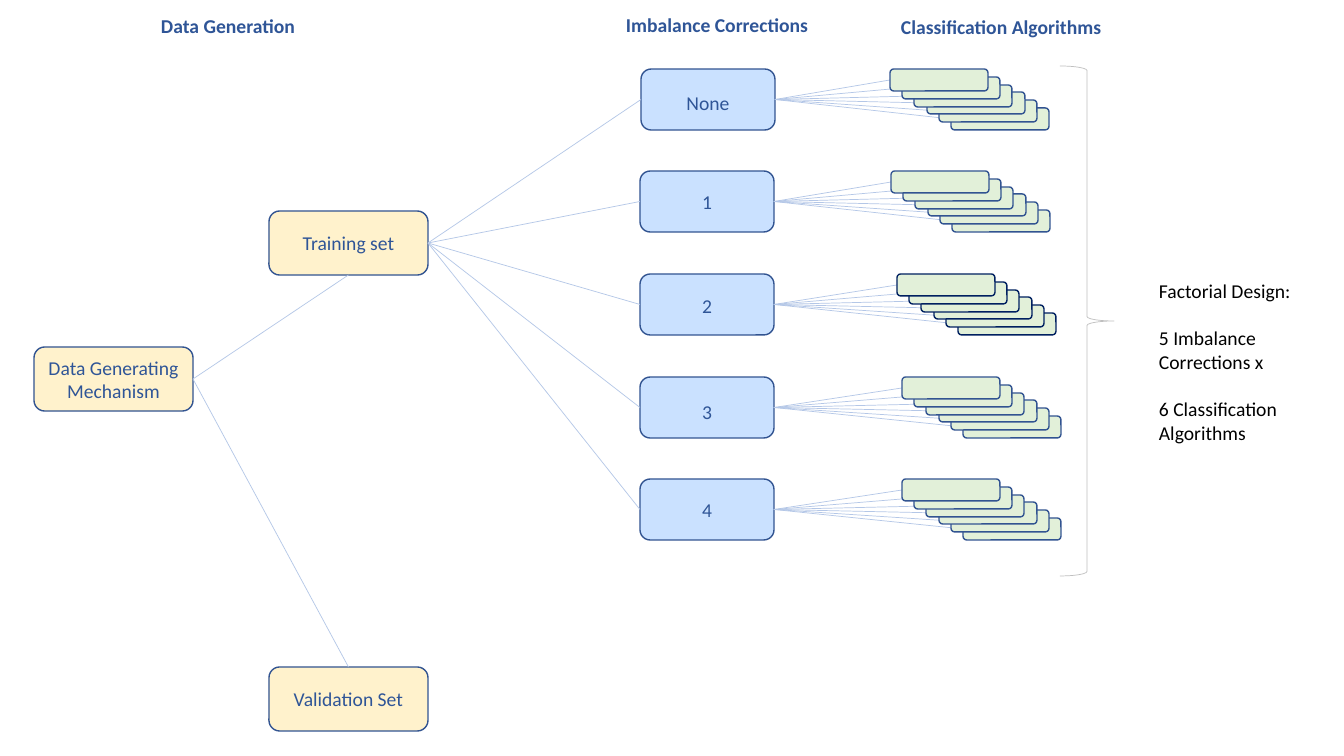
from lxml import etree
from pptx import Presentation
from pptx.dml.color import RGBColor
from pptx.enum.shapes import MSO_CONNECTOR, MSO_SHAPE
from pptx.enum.text import MSO_ANCHOR, PP_ALIGN
from pptx.oxml.ns import qn
from pptx.util import Pt

PX = 914400 / 100.8
STRAIGHT = MSO_CONNECTOR.STRAIGHT
ROUNDED = MSO_SHAPE.ROUNDED_RECTANGLE
BRACE = MSO_SHAPE.RIGHT_BRACE
TOP_SIDE, LEFT_SIDE, BOTTOM_SIDE, RIGHT_SIDE = range(4)

TEXT_BLUE = RGBColor(0x2F, 0x55, 0x97)
OUTLINE = RGBColor(0x32, 0x54, 0x91)
NAVY = RGBColor(0x00, 0x20, 0x60)
LINK_BLUE = RGBColor(0xB4, 0xC7, 0xE7)
GRAY = RGBColor(0xBF, 0xBF, 0xBF)
YELLOW = RGBColor(0xFF, 0xF2, 0xCC)
BLUE = RGBColor(0xCA, 0xE1, 0xFF)
GREEN = RGBColor(0xE2, 0xF0, 0xD9)
BLACK = RGBColor(0x00, 0x00, 0x00)

presentation = Presentation()
presentation.slide_width = round(1344 * PX)
presentation.slide_height = round(756 * PX)
slide = presentation.slides.add_slide(presentation.slide_layouts[6])
shapes = slide.shapes


def add_box(left, top, width, height, fill, outline, label="", drop=0):
    box = shapes.add_shape(ROUNDED, *[round(v * PX) for v in (left, top, width, height)])
    box.shadow.inherit = False
    box.fill.solid()
    box.fill.fore_color.rgb = fill
    box.line.color.rgb = outline
    box.line.width = Pt(1)
    if label:
        frame = box.text_frame
        frame.text = label
        frame.word_wrap = True
        frame.vertical_anchor = MSO_ANCHOR.MIDDLE
        frame.margin_left = frame.margin_right = round(4 * PX)
        frame.margin_top = round((4 + 2 * drop) * PX)
        frame.margin_bottom = round(4 * PX)
        for paragraph in frame.paragraphs:
            paragraph.alignment = PP_ALIGN.CENTER
            font = paragraph.runs[0].font
            font.name, font.size = "Calibri", Pt(14)
            font.color.rgb = TEXT_BLUE
    return box


def add_link():
    link = shapes.add_connector(STRAIGHT, 0, 0, 0, 0)
    link.line.color.rgb = LINK_BLUE
    link.line.width = Pt(0.5)
    etree.SubElement(link._element.spPr, qn("a:effectLst"))
    return link


mechanism = add_box(34, 347, 159, 64, YELLOW, OUTLINE, "Data Generating\nMechanism")
training = add_box(269, 211, 159, 64, YELLOW, OUTLINE, "Training set")
validation = add_box(269, 667, 159, 64, YELLOW, OUTLINE, "Validation Set")

for target, side in ((training, BOTTOM_SIDE), (validation, TOP_SIDE)):
    link = add_link()
    link.begin_connect(mechanism, RIGHT_SIDE)
    link.end_connect(target, side)

corrections = [
    ("None", 641, 3, 890, OUTLINE),
    ("1", 640, 0, 891, OUTLINE),
    ("2", 640, 1, 897, NAVY),
    ("3", 640, 4, 902, OUTLINE),
    ("4", 640, 0, 902, OUTLINE),
]
for row, (label, left, drop, cards_left, cards_outline) in enumerate(corrections):
    top = 69 + round(102.5 * row)
    correction = add_box(left, top, 134, 61, BLUE, OUTLINE, label, drop)
    link = add_link()
    link.begin_connect(training, RIGHT_SIDE)
    link.end_connect(correction, LEFT_SIDE)
    fan = [add_link() for _ in range(6)]
    for index in reversed(range(6)):
        algorithm = add_box(cards_left + round(12.2 * index), top + round(7.8 * index),
                            98, 22, GREEN, cards_outline)
        fan[index].begin_connect(correction, RIGHT_SIDE)
        fan[index].end_connect(algorithm, LEFT_SIDE)

brace = shapes.add_shape(BRACE, *[round(v * PX) for v in (1060, 66, 54, 510)])
brace.shadow.inherit = False
brace.fill.background()
brace.line.color.rgb = GRAY
brace.line.width = Pt(0.5)

texts = [
    (151, 9, 212, 34, "Data Generation", True, TEXT_BLUE),
    (616, 8, 212, 34, "Imbalance Corrections", True, TEXT_BLUE),
    (891, 10, 236, 34, "Classification Algorithms", True, TEXT_BLUE),
    (1149, 274, 176, 200,
     "Factorial Design:\n5 Imbalance Corrections x\n6 Classification\nAlgorithms", False, BLACK),
]
for left, top, width, height, words, bold, color in texts:
    frame = shapes.add_textbox(*[round(v * PX) for v in (left, top, width, height)]).text_frame
    frame.word_wrap = True
    frame.text = words
    for paragraph in frame.paragraphs:
        font = paragraph.runs[0].font
        font.name, font.size, font.bold = "Calibri", Pt(14), bold
        font.color.rgb = color
        if paragraph.text[0].isdigit():
            paragraph.space_before = Pt(17)

presentation.save("out.pptx")
